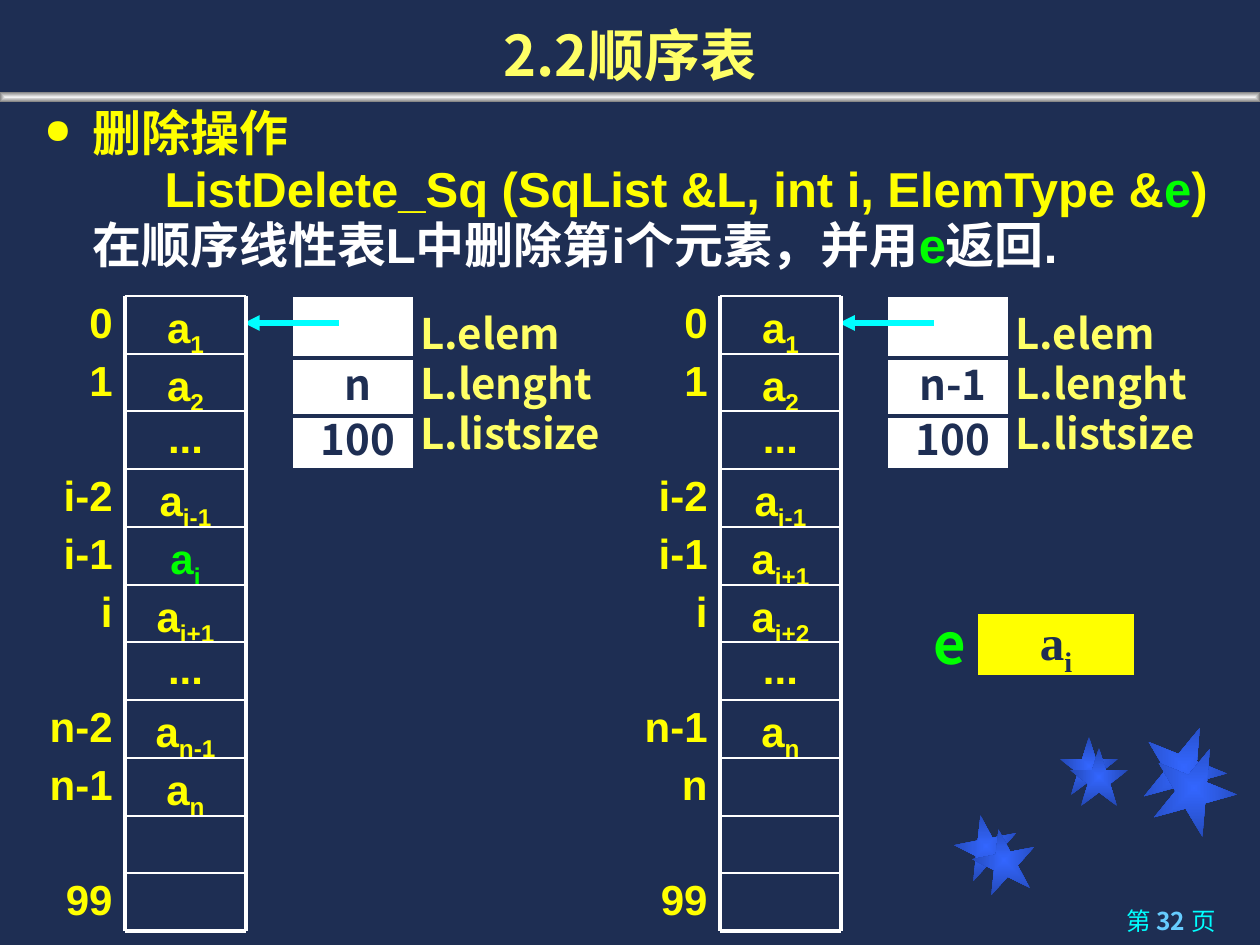
from lxml.etree import SubElement
from pptx import Presentation
from pptx.dml.color import RGBColor
from pptx.enum.shapes import MSO_CONNECTOR as CONNECTOR, MSO_SHAPE as SHAPE
from pptx.enum.text import MSO_ANCHOR as ANCHOR, PP_ALIGN as ALIGN
from pptx.oxml.ns import qn
from pptx.util import Emu, Pt

SANS, CJK, SERIF = "Arial", "Noto Sans CJK SC", "Times New Roman"
NAVY, WHITE, YELLOW, CREAM = "1E2E53", "FFFFFF", "FFFF00", "FFFF66"
GREEN, CYAN, SKY = "00FF00", "00FFFF", "66CCFF"
ROW, COLUMN = 58, 121


def px(n):
    """Turn 1/126 inch pixels into EMU."""
    return Emu(round(n * 914400 / 126))


def color(hex_text):
    """Turn a hex string into a colour."""
    return RGBColor.from_string(hex_text)


def write(paragraph, runs, size, face, tint, align=ALIGN.LEFT, spacing=1.0, bold=True):
    """Fill a paragraph with (text, colour, is_subscript) runs."""
    paragraph.alignment, paragraph.line_spacing = align, spacing
    font = paragraph.font
    font.size, font.bold, font.name = Pt(size), bold, face
    font.color.rgb = color(tint)
    for text, run_tint, subscript in runs:
        run = paragraph.add_run()
        run.text = text
        if run_tint:
            run.font.color.rgb = color(run_tint)
        if subscript:
            run.font._element.set("baseline", "-25000")
        SubElement(run.font._element, qn("a:ea")).set("typeface", CJK)


def add_text(slide, box, lines, size, face, tint, align=ALIGN.LEFT, spacing=1.0, bold=True):
    """Add a text box holding one paragraph for each list of runs."""
    frame = slide.shapes.add_textbox(*map(px, box)).text_frame
    frame.word_wrap = True
    for i, runs in enumerate(lines):
        paragraph = frame.add_paragraph() if i else frame.paragraphs[0]
        write(paragraph, runs, size, face, tint, align, spacing, bold)
    return frame


def add_line(slide, start, end, tint, width, arrow=False):
    """Draw a straight line, with an arrowhead at its end if asked."""
    line = slide.shapes.add_connector(CONNECTOR.STRAIGHT, *map(px, start + end))
    line.line.color.rgb, line.line.width = color(tint), Pt(width)
    if arrow:
        SubElement(line.line._get_or_add_ln(), qn("a:tailEnd")).set("type", "triangle")
    SubElement(line._element.spPr, qn("a:effectLst"))


def add_block(slide, kind, box, fill):
    """Add a borderless preset shape, filled plainly or from centre to edge."""
    block = slide.shapes.add_shape(kind, *map(px, box))
    block.shadow.inherit = False
    block.line.fill.background()
    if isinstance(fill, str):
        block.fill.solid()
        block.fill.fore_color.rgb = color(fill)
        return block
    block.fill.gradient()
    for stop, tint in zip(block.fill.gradient_stops, fill):
        stop.color.rgb = color(tint)
    gradient = block._element.spPr.find(qn("a:gradFill"))
    gradient.remove(gradient.find(qn("a:lin")))
    path = SubElement(gradient, qn("a:path"), {"path": "rect"})
    SubElement(path, qn("a:fillToRect"), dict.fromkeys("ltrb", "50000"))
    return block


def backdrop(slide):
    """Paint the background, the stars and the bar under the title."""
    slide.background.fill.solid()
    slide.background.fill.fore_color.rgb = color(NAVY)
    star_pairs = [((955, 815), (973, 829), 63, -11), ((1060, 737), (1070, 748), 58, 0),
                  ((1142, 725), (1152, 746), 84, 22)]
    for *corners, size, turn in star_pairs:
        for corner in corners:
            star = add_block(slide, SHAPE.STAR_5_POINT, (*corner, size, size), ("3366FF", "2449B6"))
            star.rotation = turn
    add_block(slide, SHAPE.RECTANGLE, (0, 92, 1260, 10), ("F2F2F2", "808080"))


def heading(slide, box):
    """Place the slide title."""
    frame = add_text(slide, box, [[("2.2顺序表", None, False)]], 32, CJK, CREAM, ALIGN.CENTER)
    frame.vertical_anchor = ANCHOR.BOTTOM


def operation(slide, box):
    """Describe the delete operation under its bullet."""
    lines = [[("删除操作", None, False)],
             [("ListDelete_Sq (SqList &L, int i, ElemType &", None, False),
              ("e", GREEN, False), (")", None, False)],
             [("在顺序线性表L中删除第i个元素，并用", WHITE, False),
              ("e", GREEN, False), ("返回.", WHITE, False)]]
    frame = add_text(slide, box, [], 28, SANS, YELLOW)
    for i, runs in enumerate(lines):
        paragraph = frame.add_paragraph() if i else frame.paragraphs[0]
        props = paragraph._p.get_or_add_pPr()
        props.set("marL", str(px(48)))
        if i == 0:
            props.set("indent", str(-px(48)))
            tint = SubElement(props, qn("a:buClr"))
            SubElement(tint, qn("a:srgbClr")).set("val", YELLOW)
            SubElement(props, qn("a:buSzPct")).set("val", "70000")
            SubElement(props, qn("a:buChar")).set("char", "●")
        write(paragraph, runs, 28, SANS, YELLOW, ALIGN.RIGHT if i == 1 else ALIGN.LEFT, 0.95)


def list_record(slide, left, top, length):
    """Draw the list record: its three fields, their names and the pointer."""
    names = ["L.elem", "L.lenght", "L.listsize"]
    add_text(slide, (left + 117, top + 6, 252, 164), [[(name, None, False)] for name in names],
             24, CJK, CREAM)
    field = add_block(slide, SHAPE.RECTANGLE, (left, top, 124, 175), WHITE)
    field.line.color.rgb, field.line.width = color(NAVY), Pt(2.25)
    for y in (top + 63, top + 121):
        add_line(slide, (left, y), (left + 124, y), NAVY, 2.25)
    add_text(slide, (left, top + 52, 134, 123), [[(value, None, False)] for value in (length, "100")],
             24, CJK, NAVY, ALIGN.CENTER, 1.1)
    add_line(slide, (left + 48, top + 28), (left - 47, top + 28), CYAN, 3, arrow=True)


def storage(slide, left, top, rows):
    """Draw the array column with (index, base, subscript, colour) rows."""
    right, bottom = left + COLUMN, top + ROW * len(rows) - 3
    for i, (index, base, subscript, tint) in enumerate(rows):
        y = top + round(i * (bottom - top) / len(rows))
        if base:
            runs = [(base, None, False)] + ([(subscript, None, True)] if subscript else [])
            add_text(slide, (left, y, COLUMN, ROW), [runs], 24, SANS, tint, ALIGN.CENTER, 0.9)
        if index:
            add_text(slide, (left - COLUMN, y, COLUMN, ROW), [[(index, None, False)]],
                     24, SANS, YELLOW, ALIGN.RIGHT, 0.9)
        add_line(slide, (left, y), (right, y), WHITE, 1)
    add_line(slide, (left, bottom), (right, bottom), WHITE, 2.25)
    for x in (left, right):
        add_line(slide, (x, top), (x, bottom), WHITE, 2.25)


def sequence_list(slide, left, top, length, rows):
    """Draw one state of the list: its record beside its storage."""
    list_record(slide, left + 166, top - 1, length)
    storage(slide, left, top, rows)


def returned_element(slide, left, top):
    """Show the deleted element held in e."""
    cell = add_block(slide, SHAPE.RECTANGLE, (left + 56, top + 11, 158, 63), YELLOW)
    cell.line.color.rgb, cell.line.width = color(NAVY), Pt(1)
    frame = cell.text_frame
    frame.margin_left = frame.margin_top = frame.margin_right = frame.margin_bottom = 0
    write(frame.paragraphs[0], [("a", None, False), ("i", None, True)], 28, SERIF, NAVY, ALIGN.CENTER)
    add_text(slide, (left, top, 45, 79), [[("e", None, False)]], 32, CJK, GREEN)


def page_number(slide, box):
    """Place the page number."""
    runs = [("第 ", None, False), ("32 ", SKY, False), ("页", None, False)]
    frame = add_text(slide, box, [runs], 14, CJK, CYAN, ALIGN.RIGHT, bold=False)
    frame.paragraphs[0].runs[1].font.bold = True


def state(indexes, elements):
    """Pair indexes with subscripts; the element i is the one to delete."""
    return [(index, "..." if sub == "..." else sub and "a", "" if sub == "..." else sub,
             GREEN if sub == "i" else YELLOW) for index, sub in zip(indexes, elements)]


def main():
    """Build the slide and save it."""
    deck = Presentation()
    deck.slide_width, deck.slide_height = px(1260), px(945)
    slide = deck.slides.add_slide(deck.slide_layouts[6])
    backdrop(slide)
    page_number(slide, (897, 900, 331, 45))
    heading(slide, (0, 0, 1260, 94))
    operation(slide, (32, 101, 1188, 210))
    first = ["0", "1", "", "i-2", "i-1", "i", ""]
    before = state(first + ["n-2", "n-1", "", "99"],
                   ["1", "2", "...", "i-1", "i", "i+1", "...", "n-1", "n", "", ""])
    after = state(first + ["n-1", "n", "", "99"],
                  ["1", "2", "...", "i-1", "i+1", "i+2", "...", "n", "", "", ""])
    sequence_list(slide, 125, 296, "n", before)
    sequence_list(slide, 720, 296, "n-1", after)
    returned_element(slide, 921, 602)
    deck.save("out.pptx")


if __name__ == "__main__":
    main()
